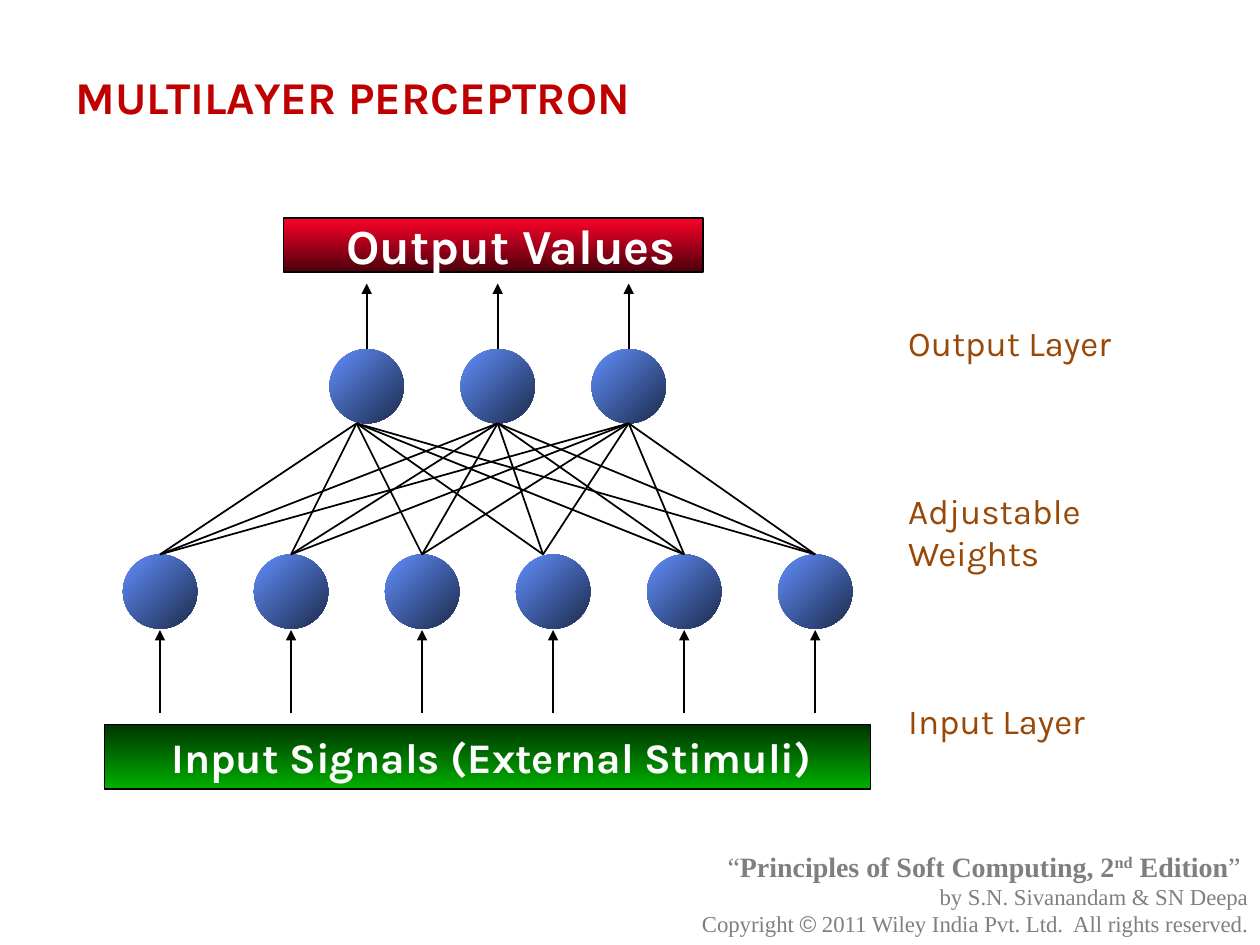
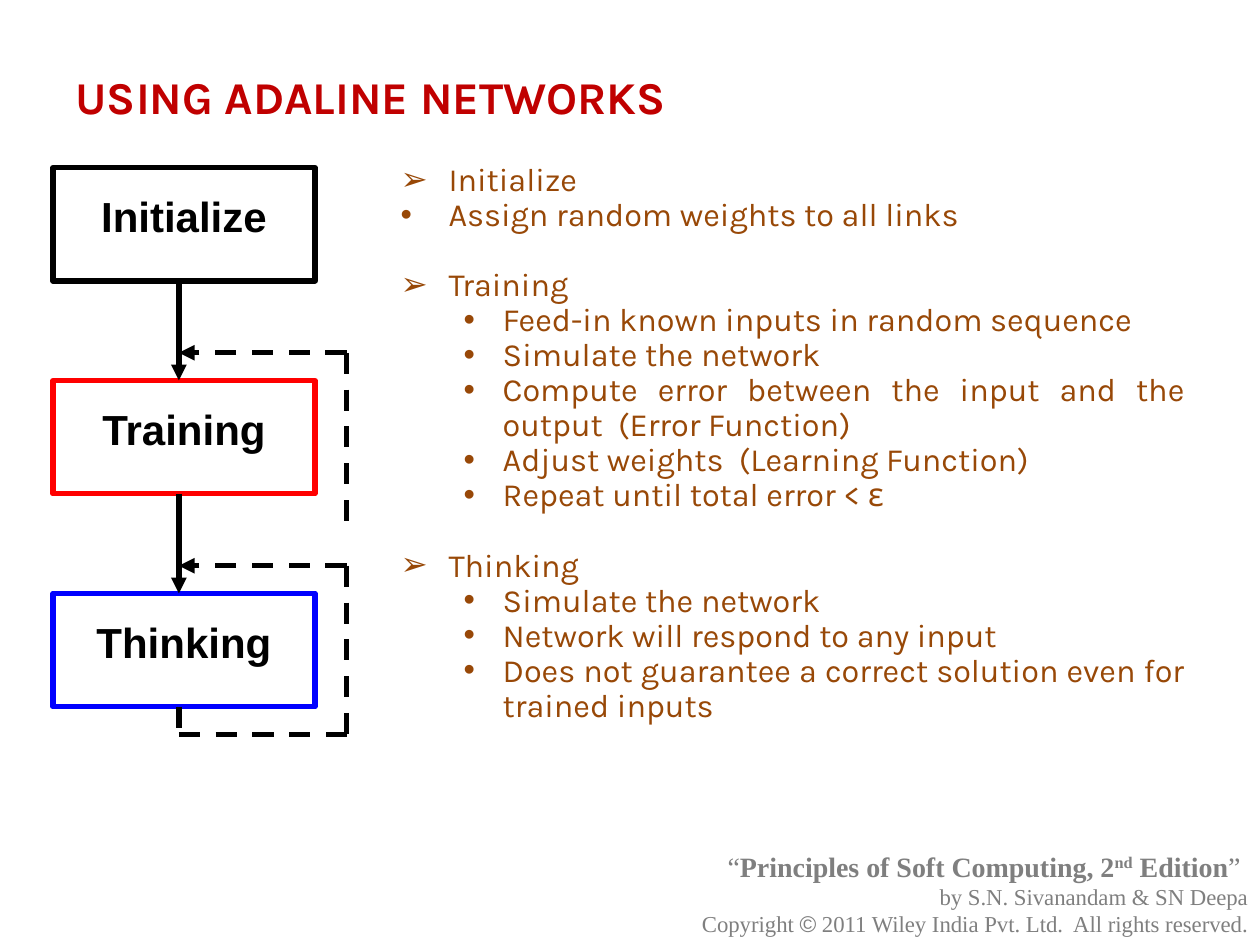
import lxml.etree
import pptx
import pptx.dml.color
import pptx.enum.dml
import pptx.enum.shapes
import pptx.enum.text
import pptx.oxml.ns
import pptx.util
from dataclasses import dataclass

Inches, Pt = pptx.util.Inches, pptx.util.Pt
SHAPES = pptx.enum.shapes.MSO_SHAPE
ALIGN = pptx.enum.text.PP_ALIGN
ANCHOR = pptx.enum.text.MSO_ANCHOR
qn = pptx.oxml.ns.qn


@dataclass(frozen=True)
class Theme:
    heading: str = "C00000"
    body: str = "984807"
    ink: str = "000000"
    light: str = "FFFFFF"
    footer: str = "7F7F7F"
    input_bar: tuple = ("003400", "00AE00")
    output_bar: tuple = ("FC0128", "4B000C")
    neuron: tuple = ("618FFD", "1D2B4B")
    main_font: str = "Karla"
    step_font: str = "Arial"
    footer_font: str = "Times New Roman"
    title_size: float = 26
    output_size: float = 28
    strong_size: float = 24
    label_size: float = 20
    list_size: float = 18.5
    book_size: float = 16
    credit_size: float = 13


THEME = Theme()

# Content: footer runs are (text, bold, superscript, font)
SERIF = THEME.footer_font
FOOTER = [
    (THEME.book_size, [("“", False, False, SERIF),
                       ("Principles of Soft Computing, 2", True, False, SERIF),
                       ("nd", True, True, SERIF),
                       (" Edition", True, False, SERIF),
                       ("” ", False, False, SERIF)]),
    (THEME.credit_size, [("by S.N. Sivanandam & SN Deepa", False, False, SERIF)]),
    (THEME.credit_size, [("Copyright ", False, False, SERIF),
                         ("©", False, False, "Arial"),
                         (" 2011 Wiley India Pvt. Ltd.  All rights reserved.",
                          False, False, SERIF)]),
]

# Content: layer labels as (text line, words)
LAYER_LABELS = [(0, ["Output Layer"]), (4, ["Adjustable", "Weights"]), (9, ["Input Layer"])]
INPUTS, OUTPUTS = 6, 3

# Content: phases as (name, box colour, [(level, point)])
PHASES = [
    ("Initialize", "000000", [(0, "Assign random weights to all links")]),
    ("Training", "FF0000", [
        (1, "Feed-in known inputs in random sequence"),
        (1, "Simulate the network"),
        (1, "Compute error between the input and the output  (Error Function)"),
        (1, "Adjust weights  (Learning Function)"),
        (1, "Repeat until total error < ε")]),
    ("Thinking", "0000FF", [
        (1, "Simulate the network"),
        (1, "Network will respond to any input"),
        (1, "Does not guarantee a correct solution even for trained inputs")]),
]
INDENTS = [(0.38, -0.38), (0.81, -0.31)]


# Shared helpers
def rgb(value):
    return pptx.dml.color.RGBColor.from_string(value)


def place(shape, left, top, width, height):
    shape.left, shape.top = Inches(left), Inches(top)
    shape.width, shape.height = Inches(width), Inches(height)


def add_run(paragraph, text, size, color, font=THEME.main_font, bold=False):
    run = paragraph.add_run()
    run.text = text
    run.font.size, run.font.name, run.font.bold = Pt(size), font, bold
    run.font.color.rgb = rgb(color)
    return run


def set_frame(frame, margins=(0.1, 0.05, 0.1, 0.05), anchor=ANCHOR.TOP):
    frame.word_wrap = True
    frame.auto_size = pptx.enum.text.MSO_AUTO_SIZE.NONE
    frame.vertical_anchor = anchor
    (frame.margin_left, frame.margin_top,
     frame.margin_right, frame.margin_bottom) = map(Inches, margins)


def add_text_box(slide, left, top, width, height):
    box = slide.shapes.add_textbox(*map(Inches, (left, top, width, height)))
    set_frame(box.text_frame)
    return box.text_frame


def next_paragraph(frame, index):
    return frame.add_paragraph() if index else frame.paragraphs[0]


def add_block(slide, kind, left, top, width, height, gradient=None, angle=0,
              outline=None, weight=1):
    block = slide.shapes.add_shape(kind, *map(Inches, (left, top, width, height)))
    block.shadow.inherit = False
    if gradient:
        block.fill.gradient()
        block.fill.gradient_angle = angle
        for stop, color in zip(block.fill.gradient_stops, gradient):
            stop.color.rgb = rgb(color)
    else:
        block.fill.background()
    if outline:
        block.line.color.rgb = rgb(outline)
        block.line.width = Pt(weight)
    else:
        block.line.fill.background()
    return block


def add_line(slide, start, end, weight=1, arrow=False, dashed=False):
    line = slide.shapes.add_connector(pptx.enum.shapes.MSO_CONNECTOR.STRAIGHT,
                                      *map(Inches, (*start, *end)))
    line.line.color.rgb = rgb(THEME.ink)
    line.line.width = Pt(weight)
    if dashed:
        line.line.dash_style = pptx.enum.dml.MSO_LINE.DASH
    properties = line._element.spPr
    if arrow:
        outline = properties.find(qn("a:ln"))
        lxml.etree.SubElement(outline, qn("a:tailEnd"), type="triangle")
    lxml.etree.SubElement(properties, qn("a:effectLst"))


def add_slide(deck, layout, title):
    slide = deck.slides.add_slide(deck.slide_layouts[layout])
    heading = slide.shapes.title
    place(heading, 0.5, 0.5, 9, 0.54)
    set_frame(heading.text_frame)
    paragraph = heading.text_frame.paragraphs[0]
    paragraph.alignment = ALIGN.LEFT
    add_run(paragraph, title, THEME.title_size, THEME.heading, bold=True)

    footer = add_text_box(slide, 0.5, 6.69, 9.5, 0.8)
    for index, (size, pieces) in enumerate(FOOTER):
        paragraph = next_paragraph(footer, index)
        paragraph.alignment = ALIGN.RIGHT
        for text, bold, raised, font in pieces:
            run = add_run(paragraph, text, size, THEME.footer, font, bold)
            if raised:
                run._r.get_or_add_rPr().set("baseline", "30000")
    return slide


# Slide 1: network diagram
def add_signal_bar(slide, text, size, gradient, area, inset):
    bar = add_block(slide, SHAPES.RECTANGLE, *area, gradient, 270, THEME.ink)
    set_frame(bar.text_frame, (inset, 0, 0, 0), ANCHOR.MIDDLE)
    paragraph = bar.text_frame.paragraphs[0]
    paragraph.alignment = ALIGN.LEFT
    add_run(paragraph, text, size, THEME.light, bold=True)


def build_perceptron(deck):
    slide = add_slide(deck, 5, "MULTILAYER PERCEPTRON")
    pitch, diameter = 1.04, 0.59
    output_top, input_top = 2.77, 4.4
    output_xs = [2.91 + pitch * column for column in range(OUTPUTS)]
    input_xs = [1.27 + pitch * column for column in range(INPUTS)]

    add_signal_bar(slide, "Input Signals (External Stimuli)", THEME.strong_size,
                   THEME.input_bar, (0.83, 5.75, 6.08, 0.51), 0.53)
    add_signal_bar(slide, "Output Values", THEME.output_size,
                   THEME.output_bar, (2.25, 1.73, 3.33, 0.43), 0.5)

    # Neurons
    for centres, top in ((output_xs, output_top), (input_xs, input_top)):
        for x in centres:
            add_block(slide, SHAPES.OVAL, x - diameter / 2, top, diameter, diameter,
                      THEME.neuron, 315)

    # Weights: one port in each layer sits left of its neuron's centre
    shift = 0.08
    output_ports = [x - shift * (i == 0) for i, x in enumerate(output_xs)]
    input_ports = [x - shift * (i == 3) for i, x in enumerate(input_xs)]
    for output_x in output_ports:
        for input_x in input_ports:
            add_line(slide, (output_x, output_top + diameter), (input_x, input_top))

    # Signal arrows
    for centres, start, end in ((output_xs, output_top, 2.25), (input_xs, 5.66, 5)):
        for x in centres:
            add_line(slide, (x, start), (x, end), arrow=True)

    # Layer labels
    line_height = 1 / 3
    for row, words in LAYER_LABELS:
        label = add_text_box(slide, 7.11, 2.5 + row * line_height, 1.92,
                             len(words) * line_height + 0.1)
        for index, word in enumerate(words):
            add_run(next_paragraph(label, index), word, THEME.label_size, THEME.body)


# Slide 2: phases and flow
def add_point(frame, index, level, text, marker, gap=0):
    paragraph = next_paragraph(frame, index)
    paragraph.level = level
    properties = paragraph._p.get_or_add_pPr()
    margin, indent = INDENTS[level]
    properties.set("marL", str(Inches(margin)))
    properties.set("indent", str(Inches(indent)))
    color = lxml.etree.SubElement(properties, qn("a:buClr"))
    lxml.etree.SubElement(color, qn("a:srgbClr"), val=THEME.body)
    lxml.etree.SubElement(properties, qn("a:buFont"), typeface="Arial")
    lxml.etree.SubElement(properties, qn("a:buChar"), char=marker)
    paragraph.alignment = ALIGN.JUSTIFY
    paragraph.line_spacing = 0.9
    paragraph.space_before = Pt(gap)
    add_run(paragraph, text, THEME.list_size, THEME.body)


def build_adaline(deck):
    slide = add_slide(deck, 1, "USING ADALINE NETWORKS")

    # Phase list
    outline = slide.placeholders[1]
    place(outline, 3.08, 1.25, 6.42, 5.33)
    set_frame(outline.text_frame)
    count = 0
    for name, _, points in PHASES:
        add_point(outline.text_frame, count, 0, name, "➢", gap=20 if count else 0)
        for offset, (level, point) in enumerate(points, 1):
            add_point(outline.text_frame, count + offset, level, point, "•")
        count += len(points) + 1

    # Flow boxes
    left, width, height, pitch = 0.42, 2.08, 0.9, 1.69
    tops = [1.33 + pitch * row for row in range(len(PHASES))]
    for top, (name, color, _) in zip(tops, PHASES):
        step = add_block(slide, SHAPES.RECTANGLE, left, top, width, height,
                         outline=color, weight=3)
        set_frame(step.text_frame, (0.1, 0, 0.1, 0.14), ANCHOR.MIDDLE)
        paragraph = step.text_frame.paragraphs[0]
        paragraph.alignment = ALIGN.CENTER
        add_run(paragraph, name, THEME.strong_size, THEME.ink, THEME.step_font, True)

    # Arrows down, and a dashed loop back into each later phase
    axis, turn, reach = 1.42, 2.75, 0.22
    for above, top in zip(tops, tops[1:]):
        entry, leave = top - reach, top + height + reach
        add_line(slide, (axis, above + height), (axis, top), 3, arrow=True)
        add_line(slide, (turn, entry), (axis, entry), 3, arrow=True, dashed=True)
        add_line(slide, (turn, entry), (turn, leave), 3, dashed=True)
    add_line(slide, (axis, leave), (turn, leave), 3, dashed=True)
    add_line(slide, (axis, leave - reach), (axis, leave), 3, dashed=True)


def main():
    deck = pptx.Presentation()
    deck.slide_width, deck.slide_height = Inches(10), Inches(7.5)
    build_perceptron(deck)
    build_adaline(deck)
    deck.save("out.pptx")


if __name__ == "__main__":
    main()
